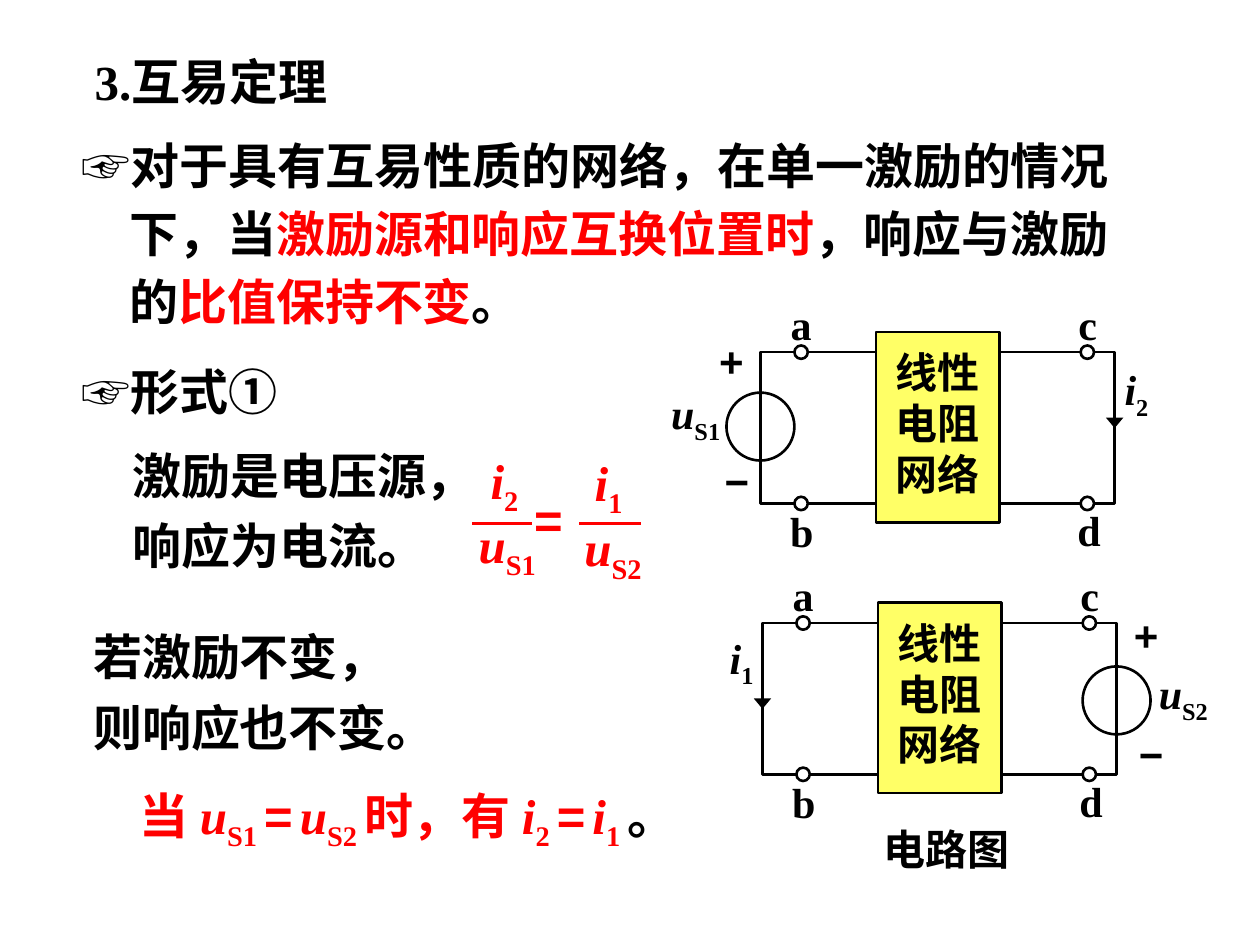
"""Build a slide on the reciprocity theorem with formulas and two circuit diagrams."""
from dataclasses import dataclass
from typing import NamedTuple

from lxml.etree import SubElement
from pptx import Presentation
from pptx.dml.color import RGBColor
from pptx.enum.shapes import MSO_CONNECTOR, MSO_SHAPE
from pptx.enum.text import MSO_ANCHOR, MSO_AUTO_SIZE, PP_ALIGN
from pptx.oxml.ns import qn
from pptx.util import Cm, Pt

COLORS = {"ink": "000000", "red": "FF0000", "block": "FFFF66", "white": "FFFFFF"}
SERIF, SANS, CJK = "Times New Roman", "Arial", "Noto Sans CJK SC"
WIRE_W, WIRE_H, RIGHT_X = 2.33, 3.05, 7.14
BLOCK = (2.33, -0.41, 2.49, 3.84)
DOT, SOURCE = 0.27, 1.37
TIGHT = (0.05, 0.03)
ROOMY = (0.25, 0.13)
HANGING = {"marL": str(Cm(0.97)), "indent": str(Cm(-0.97))}
ARROWHEAD = {"type": "triangle", "w": "lg", "len": "med"}


class Run(NamedTuple):
    text: str
    color: str = "ink"
    font: str = SERIF
    italic: bool = False
    sub: bool = False


class Label(NamedTuple):
    x: float
    y: float
    w: float
    h: float
    runs: list[Run]


@dataclass
class Circuit:
    x: float
    y: float
    source_x: float
    source_y: float
    arrow_x: float
    arrow_y: float
    labels: list[Label]


def symbol(letter: str, index: str, color: str = "ink") -> list[Run]:
    return [Run(letter, color, italic=True), Run(index, color, sub=True)]


def rgb(name: str) -> RGBColor:
    return RGBColor.from_string(COLORS[name])


def write(tf, paras: list[list[Run]], size: float = 28, insets=ROOMY, wrap: bool = True,
          hanging: bool = False, **fmt) -> None:
    frame = {"margin_left": Cm(insets[0]), "margin_right": Cm(insets[0]),
             "margin_top": Cm(insets[1]), "margin_bottom": Cm(insets[1]), "word_wrap": wrap}
    for key, value in frame.items():
        setattr(tf, key, value)
    for i, runs in enumerate(paras):
        p = tf.add_paragraph() if i else tf.paragraphs[0]
        for key, value in ({"alignment": PP_ALIGN.LEFT} | fmt).items():
            setattr(p, key, value)
        if hanging:
            pPr = p._p.get_or_add_pPr()
            for key, value in HANGING.items():
                pPr.set(key, value)
            SubElement(pPr, qn("a:buNone"))
        for run in runs:
            r = p.add_run()
            r.text = run.text
            font = {"size": Pt(size), "bold": True, "italic": run.italic, "name": run.font}
            for key, value in font.items():
                setattr(r.font, key, value)
            r.font.color.rgb = rgb(run.color)
            rPr = r._r.get_or_add_rPr()
            SubElement(rPr, qn("a:ea")).set("typeface", CJK)
            if run.sub:
                rPr.set("baseline", "-25000")


def place(sp, x: float, y: float, w: float, h: float) -> None:
    for key, value in zip(("left", "top", "width", "height"), (x, y, w, h)):
        setattr(sp, key, Cm(value))


def add_text(shapes, x: float, y: float, w: float, h: float, paras: list[list[Run]], **fmt) -> None:
    tf = shapes.add_textbox(Cm(x), Cm(y), Cm(w), Cm(h)).text_frame
    tf.auto_size = MSO_AUTO_SIZE.SHAPE_TO_FIT_TEXT
    write(tf, paras, **fmt)


def style(sp, fill: str | None = None) -> None:
    sp.shadow.inherit = False
    sp.line.color.rgb = rgb("ink")
    sp.line.width = Pt(1.5)
    if fill:
        sp.fill.solid()
        sp.fill.fore_color.rgb = rgb(fill)
    else:
        sp.fill.background()


def add_circle(shapes, x: float, y: float, d: float, fill: str | None = None) -> None:
    style(shapes.add_shape(MSO_SHAPE.OVAL, Cm(x - d / 2), Cm(y - d / 2), Cm(d), Cm(d)), fill)


def add_line(shapes, x1: float, y1: float, x2: float, y2: float, color: str, arrow: bool = False) -> None:
    line = shapes.add_connector(MSO_CONNECTOR.STRAIGHT, Cm(x1), Cm(y1), Cm(x2), Cm(y2))
    line.line.color.rgb = rgb(color)
    line.line.width = Pt(1.5)
    if arrow:
        SubElement(line.line._get_or_add_ln(), qn("a:tailEnd"), ARROWHEAD)
    SubElement(line._element.spPr, qn("a:effectLst"))


def add_wire(shapes, inner: float, outer: float, y: float) -> None:
    fb = shapes.build_freeform(Cm(inner), Cm(y))
    corners = [(outer, y), (outer, y + WIRE_H), (inner, y + WIRE_H)]
    fb.add_line_segments([(Cm(px), Cm(py)) for px, py in corners], close=False)
    style(fb.convert_to_shape())


def add_circuit(slide, c: Circuit) -> None:
    shapes = slide.shapes.add_group_shape().shapes
    bx, by, bw, bh = BLOCK
    block = shapes.add_shape(MSO_SHAPE.RECTANGLE, Cm(c.x + bx), Cm(c.y + by), Cm(bw), Cm(bh))
    style(block, "block")
    block.text_frame.vertical_anchor = MSO_ANCHOR.MIDDLE
    write(block.text_frame, [[Run(t)] for t in ("线性", "电阻", "网络")], size=24, insets=TIGHT,
          alignment=PP_ALIGN.CENTER, line_spacing=0.8, space_before=Pt(6))
    add_wire(shapes, c.x + WIRE_W, c.x, c.y)
    add_wire(shapes, c.x + RIGHT_X - WIRE_W, c.x + RIGHT_X, c.y)
    add_circle(shapes, c.x + c.source_x, c.y + c.source_y, SOURCE)
    ax, ay = c.x + c.arrow_x, c.y + c.arrow_y
    add_line(shapes, ax, ay, ax, ay + 0.97, "ink", arrow=True)
    for dx in (0.82, 6.59):
        for dy in (0, WIRE_H):
            add_circle(shapes, c.x + dx, c.y + dy, DOT, "white")
    terminals = [Label(0.56, -1.11, 0.53, 1.07, [Run("a")]), Label(0.55, 3.07, 0.58, 1.07, [Run("b")]),
                 Label(6.36, -1.11, 0.48, 1.07, [Run("c")]), Label(6.34, 3.05, 0.58, 1.07, [Run("d")])]
    for group, before in ((terminals, 6), (c.labels, 0)):
        for t in group:
            add_text(shapes, c.x + t.x, c.y + t.y, t.w, t.h, [t.runs], size=24, insets=TIGHT,
                     wrap=False, space_before=Pt(before))


def main() -> None:
    prs = Presentation()
    prs.slide_width, prs.slide_height = Cm(25.4), Cm(19.05)
    s = prs.slides.add_slide(prs.slide_layouts[3])
    title, theorem, form = s.placeholders
    hand = Run("☞", font=SANS)
    listed = {"hanging": True, "line_spacing": 1.15, "space_before": Pt(7)}
    bodies = [
        (title, (1.66, 0.91, 8.18, 1.45), [Run("3.互易定理")], {}),
        (theorem, (1.39, 2.43, 21.56, 4.34), [
            hand, Run("对于具有互易性质的网络，在单一激励的情况下，当"),
            Run("激励源和响应互换位置时", "red"), Run("，响应与激励的"),
            Run("比值保持不变", "red"), Run("。")], listed),
        (form, (1.4, 6.99, 9.04, 1.63), [hand, Run("形式"), Run("①", font=CJK)], listed),
    ]
    for sp, box, runs, fmt in bodies:
        place(sp, *box)
        sp.text_frame.auto_size = MSO_AUTO_SIZE.NONE
        write(sp.text_frame, [runs], **fmt)

    plus, minus = [Run("+", font=SANS)], [Run("−", font=SANS)]
    circuits = [
        Circuit(15.33, 7.1, 0, 1.5, RIGHT_X, 0.56, [
            Label(-0.88, -0.36, 0.58, 1.07, plus), Label(-0.77, 2.06, 0.38, 1.07, minus),
            Label(-1.85, 0.69, 1.15, 1.22, symbol("u", "S1")),
            Label(7.29, 0.2, 0.58, 1.22, symbol("i", "2"))]),
        Circuit(15.37, 12.56, RIGHT_X, 1.56, 0, 0.76, [
            Label(7.44, -0.3, 0.58, 1.07, plus), Label(7.54, 2.1, 0.38, 1.07, minus),
            Label(7.94, 0.87, 1.15, 1.22, symbol("u", "S2")),
            Label(-0.71, 0.16, 0.58, 1.22, symbol("i", "1"))]),
    ]
    for c in circuits:
        add_circuit(s, c)
    add_text(s.shapes, 17.3, 16.57, 3.58, 1.07, [[Run("电路图")]], size=24, insets=TIGHT,
             alignment=PP_ALIGN.CENTER)

    equals = Run("=", "red", SANS)
    ratio = [Label(9.6, 10.34, 1.45, 1.42, symbol("u", "S1", "red")),
             Label(10.72, 9.83, 0.89, 1.24, [equals]),
             Label(9.84, 9.05, 0.7, 1.42, symbol("i", "2", "red")),
             Label(11.94, 9.09, 0.7, 1.42, symbol("i", "1", "red")),
             Label(11.73, 10.41, 1.45, 1.42, symbol("u", "S2", "red"))]
    for t in ratio:
        add_text(s.shapes, *t[:4], [t.runs], insets=TIGHT, wrap=False, space_before=Pt(7))
    for x1, x2 in ((9.52, 10.72), (11.68, 12.93)):
        add_line(s.shapes, x1, 10.55, x2, 10.55, "red")

    add_text(s.shapes, 2.42, 8.61, 7.49, 3.1,
             [[Run("激励是电压源，", font=SANS)], [Run("响应为电流。", font=SANS)]], line_spacing=1.2)
    add_text(s.shapes, 1.63, 12.5, 9.32, 2.87, [[Run("若激励不变，")], [Run("则响应也不变。")]],
             space_before=Pt(7))
    gap = Run(" ", "red", sub=True)
    result = [Run("当 ", "red"), *symbol("u", "S1 ", "red"), equals, gap, *symbol("u", "S2 ", "red"),
              Run("时，有 ", "red"), *symbol("i", "2 ", "red"), equals, gap, *symbol("i", "1 ", "red"),
              Run("。")]
    add_text(s.shapes, 2.57, 15.7, 12.98, 1.6, [result], space_before=Pt(17.5))
    prs.save("out.pptx")


if __name__ == "__main__":
    main()
